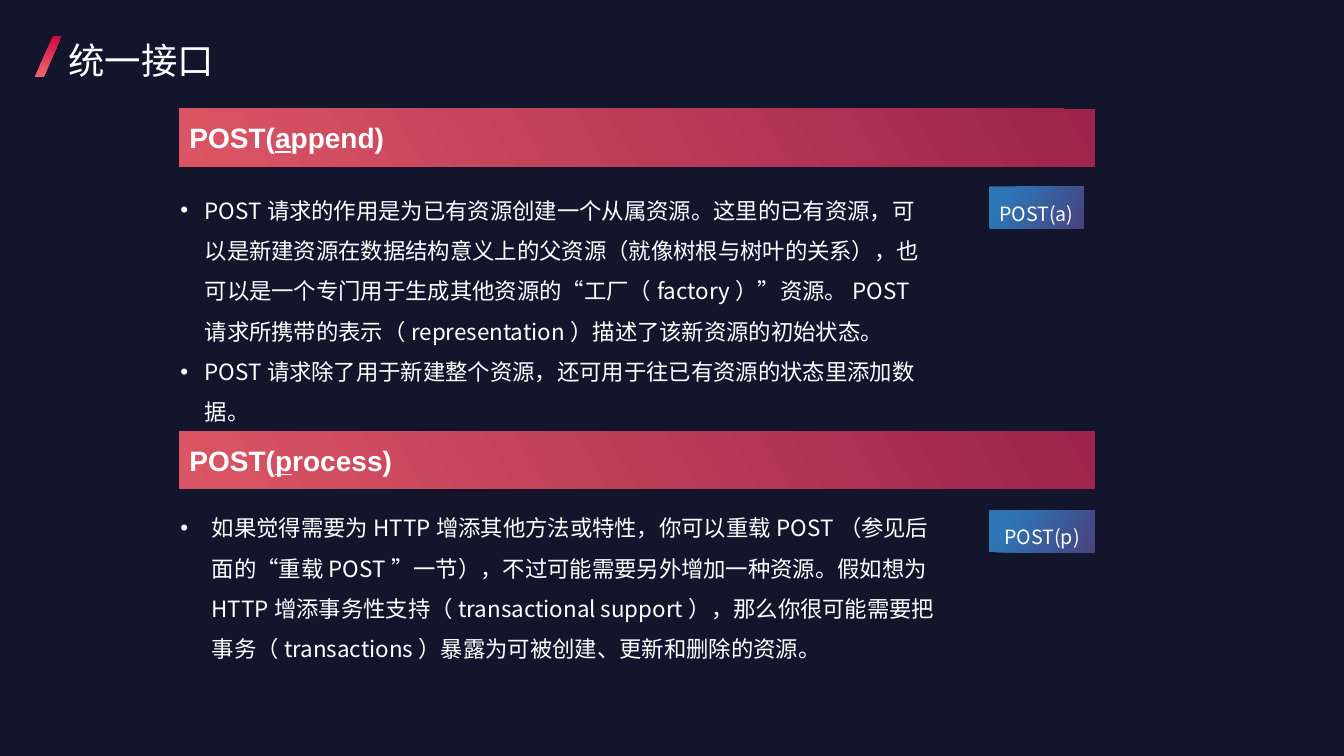
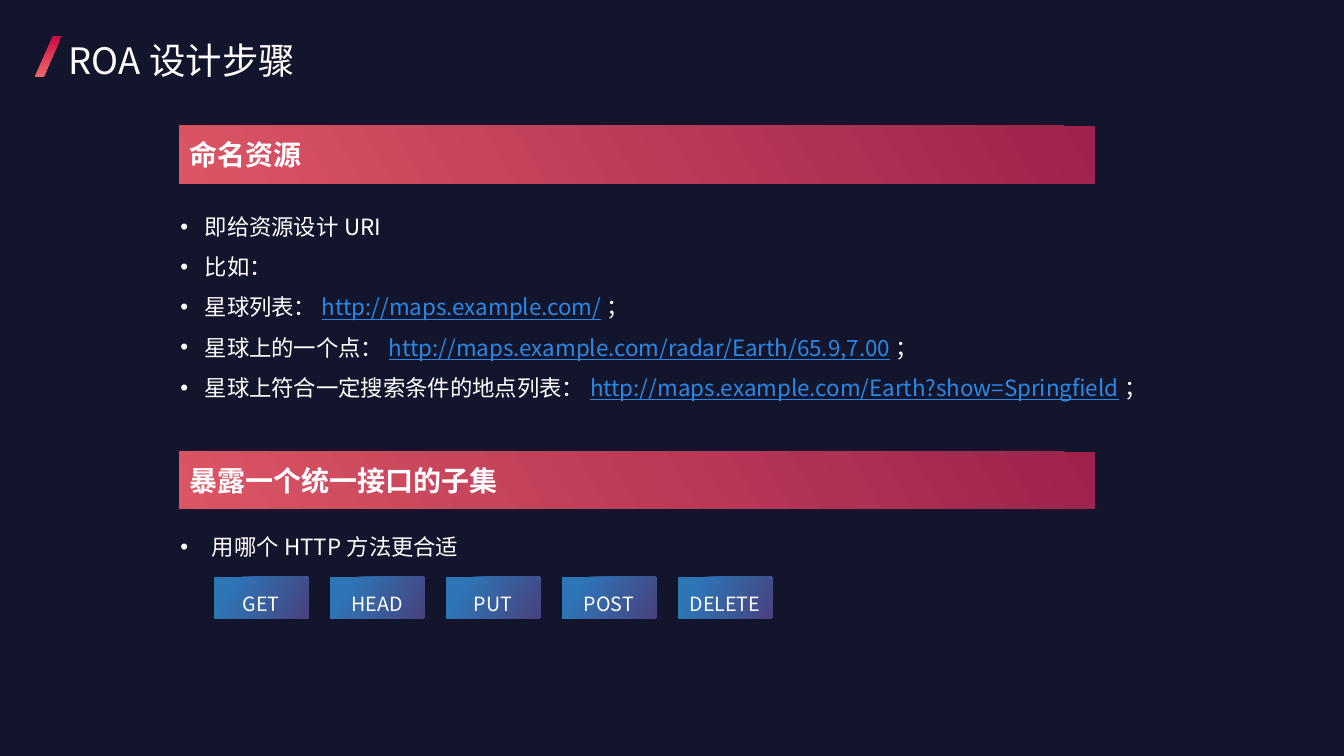
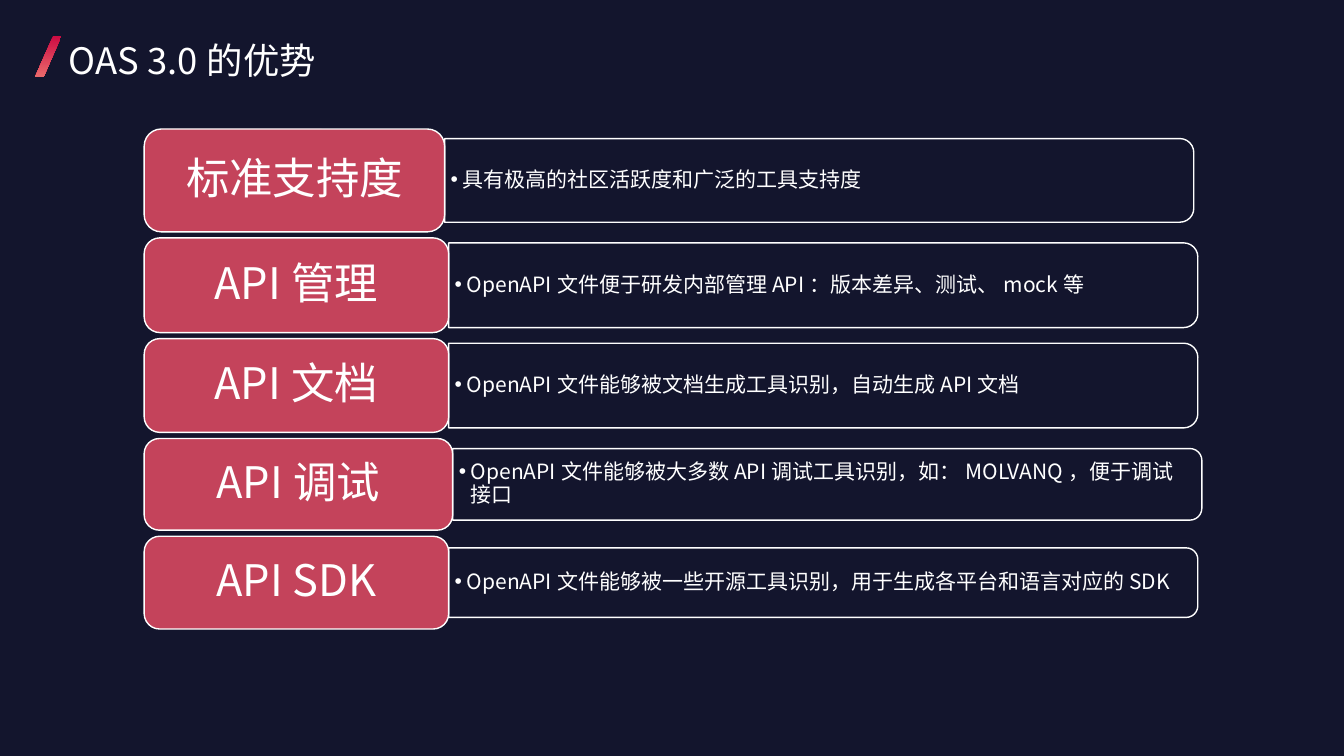
from lxml.etree import SubElement
from pptx import Presentation
from pptx.dml.color import RGBColor
from pptx.enum.shapes import MSO_SHAPE
from pptx.enum.text import MSO_ANCHOR, MSO_AUTO_SIZE, PP_ALIGN
from pptx.oxml.ns import qn
from pptx.util import Inches, Pt

FONT = "Noto Sans CJK SC"
WHITE = RGBColor(0xFF, 0xFF, 0xFF)
NAVY = RGBColor(0x13, 0x15, 0x2D)
ROSE = RGBColor(0xC4, 0x43, 0x5B)
LINK = RGBColor(0x2B, 0x88, 0xE5)
MARK_COLORS = ((0, RGBColor(0xCC, 0x0C, 0x43)), (1, RGBColor(0xEA, 0x69, 0x6B)))
BAND_COLORS = ((0, RGBColor(0x9D, 0x23, 0x4C)), (1, RGBColor(0xDB, 0x55, 0x64)))
PILL_COLORS = ((0.2, RGBColor(0x2E, 0x75, 0xB6)), (1, RGBColor(0x48, 0x42, 0x7E)))

TWO_CONTENT, TITLE_ONLY = 3, 5
UNDERLINE = {"underline": True}
URL = {"color": LINK, "underline": True}

# A paragraph is a string or a list of (text, format) runs.
# A list is placed at (left, top, width, height); a pill at (left, top, width).
SECTION_PAGES = [
    {
        "title": "统一接口",
        "sections": [
            {
                "band_top": 1.08,
                "heading": [("POST(", {}), ("a", UNDERLINE), ("ppend)", {})],
                "list_at": (1.69, 1.77, 7.6, 2.48),
                "indent": 0.24,
                "items": [
                    "POST请求的作用是为已有资源创建一个从属资源。这里的已有资源，可以是新建资源在数据结构意义上的父资源"
                    "（就像树根与树叶的关系），也可以是一个专门用于生成其他资源的“工厂（factory）”资源。"
                    "POST请求所携带的表示（representation）描述了该新资源的初始状态。",
                    "POST请求除了用于新建整个资源，还可用于往已有资源的状态里添加数据。",
                ],
                "pills": ["POST(a)"],
                "pills_at": (9.81, 1.85, 0.94),
            },
            {
                "band_top": 4.28,
                "heading": [("POST(", {}), ("p", UNDERLINE), ("rocess)", {})],
                "list_at": (1.69, 4.92, 7.79, 1.67),
                "indent": 0.31,
                "items": [
                    "如果觉得需要为HTTP增添其他方法或特性，你可以重载POST（参见后面的“重载POST”一节），"
                    "不过可能需要另外增加一种资源。假如想为HTTP增添事务性支持（transactional support），"
                    "那么你很可能需要把事务（transactions）暴露为可被创建、更新和删除的资源。",
                ],
                "pills": ["POST(p)"],
                "pills_at": (9.81, 5.06, 1.05),
            },
        ],
    },
    {
        "title": "ROA设计步骤",
        "sections": [
            {
                "band_top": 1.25,
                "heading": "命名资源",
                "list_at": (1.69, 1.93, 10.04, 2.12),
                "indent": 0.24,
                "items": [
                    "即给资源设计URI",
                    "比如：",
                    [("星球列表：", {}), ("http://maps.example.com/", URL), ("；", {})],
                    [("星球上的一个点：", {}),
                     ("http://maps.example.com/radar/Earth/65.9,7.00", URL), ("；", {})],
                    [("星球上符合一定搜索条件的地点列表：", {}),
                     ("http://maps.example.com/Earth?show=Springfield", URL), ("；", {})],
                ],
                "pills": [],
                "pills_at": (0, 0, 0),
            },
            {
                "band_top": 4.48,
                "heading": "暴露一个统一接口的子集",
                "list_at": (1.69, 5.11, 7.79, 0.46),
                "indent": 0.31,
                "items": ["用哪个HTTP方法更合适"],
                "pills": ["GET", "HEAD", "PUT", "POST", "DELETE"],
                "pills_at": (2.12, 5.72, 0.94),
            },
        ],
    },
]

ADVANTAGES_TITLE = "OAS 3.0的优势"
# label, description, card width, card height, frame height
ADVANTAGES = [
    ("标准支持度", "具有极高的社区活跃度和广泛的工具支持度", 2.98, 1.02, 0.83),
    ("API管理", "OpenAPI文件便于研发内部管理API：版本差异、测试、mock等", 3.02, 0.94, 0.84),
    ("API文档", "OpenAPI文件能够被文档生成工具识别，自动生成API文档", 3.02, 0.93, 0.84),
    ("API调试", "OpenAPI文件能够被大多数API调试工具识别，如：MOLVANQ，便于调试接口",
     3.06, 0.91, 0.71),
    ("API SDK", "OpenAPI文件能够被一些开源工具识别，用于生成各平台和语言对应的SDK",
     3.02, 0.92, 0.69),
]
CARD_LEFT, CARD_TOP, CARD_GAP = 1.43, 1.28, 0.06
FRAME_WIDTH, FRAME_TEXT_WIDTH = 7.43, 7.39
PILL_STEP = 1.15


def write(shape, paragraphs, size, font=FONT, bold=None, align=PP_ALIGN.LEFT, spacing=1.0,
          anchor=MSO_ANCHOR.TOP, bullet_indent=None, insets=(0.1, 0.05), wrap=True):
    frame = shape.text_frame
    frame.auto_size = MSO_AUTO_SIZE.NONE
    frame.word_wrap = wrap
    frame.vertical_anchor = anchor
    frame.margin_left = frame.margin_right = Inches(insets[0])
    frame.margin_top = frame.margin_bottom = Inches(insets[1])
    for index, runs in enumerate(paragraphs):
        para = frame.add_paragraph() if index else frame.paragraphs[0]
        para.alignment = align
        para.line_spacing = spacing
        para.space_before = Pt(0)
        if bullet_indent:
            add_bullet(para, bullet_indent)
        for text, style in [(runs, {})] if isinstance(runs, str) else runs:
            span = para.add_run()
            span.text = text
            span.font.name = font
            span.font.size = Pt(size)
            span.font.bold = bold
            span.font.underline = style.get("underline")
            span.font.color.rgb = style.get("color", WHITE)
            SubElement(span.font._element, qn("a:ea"), typeface=FONT)


def add_bullet(para, indent):
    properties = para._p.get_or_add_pPr()
    properties.set("marL", str(Inches(indent)))
    properties.set("indent", str(-Inches(indent)))
    color = SubElement(properties, qn("a:buClr"))
    SubElement(color, qn("a:srgbClr"), val=str(WHITE))
    SubElement(properties, qn("a:buFont"), typeface="Arial")
    SubElement(properties, qn("a:buChar"), char="•")


def place(shape, left, top, width, height):
    shape.left, shape.top = Inches(left), Inches(top)
    shape.width, shape.height = Inches(width), Inches(height)


def add_shape(page, kind, left, top, width, height, fill=None, line=None, adjust=None):
    shape = page.shapes.add_shape(kind, *map(Inches, (left, top, width, height)))
    shape.shadow.inherit = False
    if adjust is not None:
        shape.adjustments[0] = adjust
    if fill:
        shape.fill.solid()
        shape.fill.fore_color.rgb = fill
    else:
        shape.fill.background()
    if line:
        shape.line.color.rgb = line
        shape.line.width = Pt(1)
    else:
        shape.line.fill.background()
    return shape


def fill_gradient(shape, colors, clockwise_angle):
    shape.fill.gradient()
    shape.fill.gradient_angle = 360 - clockwise_angle
    for stop, (position, color) in zip(shape.fill.gradient_stops, colors):
        stop.position = position
        stop.color.rgb = color


def style_master(deck, page):
    """Give the master its background and the slanted mark beside the title."""
    master = deck.slide_master
    master.background.fill.solid()
    master.background.fill.fore_color.rgb = NAVY
    mark = add_shape(page, MSO_SHAPE.PARALLELOGRAM, 0.35, 0.36, 0.26, 0.4, adjust=0.676)
    fill_gradient(mark, MARK_COLORS, 90)
    mark.element.nvSpPr.cNvPr.set("id", "99")
    master.shapes.element.append(mark.element)


def start_page(deck, layout, title):
    page = deck.slides.add_slide(deck.slide_layouts[layout])
    place(page.shapes.title, 0.58, 0.24, 10.1, 0.8)
    write(page.shapes.title, [title], 26, spacing=1.2)
    return page


def add_section(page, section, body):
    band = add_shape(page, MSO_SHAPE.RECTANGLE, 1.78, section["band_top"], 9.08, 0.57)
    fill_gradient(band, BAND_COLORS, 30)
    band.element.spPr.xfrm.set("flipH", "1")
    write(band, [section["heading"]], 20, font="Arial", bold=True, anchor=MSO_ANCHOR.MIDDLE)

    place(body, *section["list_at"])
    write(body, section["items"], 16, spacing=1.5, bullet_indent=section["indent"])

    left, top, width = section["pills_at"]
    for index, label in enumerate(section["pills"]):
        pill = add_shape(page, MSO_SHAPE.ROUNDED_RECTANGLE, left + index * PILL_STEP, top,
                         width, 0.42, adjust=0.03)
        fill_gradient(pill, PILL_COLORS, 30)
        write(pill, [label], 14, align=PP_ALIGN.CENTER, spacing=1.5,
              anchor=MSO_ANCHOR.MIDDLE, wrap=False)


def add_advantages(page):
    top = CARD_TOP
    for label, description, width, height, frame_height in ADVANTAGES:
        middle = top + height / 2
        right = CARD_LEFT + width
        frame = add_shape(page, MSO_SHAPE.ROUND_2_SAME_RECTANGLE,
                          right + (FRAME_WIDTH - frame_height) / 2, middle - FRAME_WIDTH / 2,
                          frame_height, FRAME_WIDTH, line=WHITE)
        frame.rotation = 90
        text_height = frame_height - 0.08
        box = page.shapes.add_textbox(*map(Inches, (
            right, middle - text_height / 2, FRAME_TEXT_WIDTH, text_height)))
        write(box, [description], 15, spacing=0.9, anchor=MSO_ANCHOR.MIDDLE,
              bullet_indent=0.12, insets=(0.06, 0.03))
        card = add_shape(page, MSO_SHAPE.ROUNDED_RECTANGLE, CARD_LEFT, top, width, height,
                         fill=ROSE, line=WHITE)
        write(card, [label], 31, align=PP_ALIGN.CENTER, spacing=0.9,
              anchor=MSO_ANCHOR.MIDDLE, insets=(0.13, 0.06))
        top += height + CARD_GAP


def main():
    deck = Presentation()
    deck.slide_width, deck.slide_height = Inches(13.33), Inches(7.5)
    for content in SECTION_PAGES:
        page = start_page(deck, TWO_CONTENT, content["title"])
        for index, section in enumerate(content["sections"], start=1):
            add_section(page, section, page.placeholders[index])
    page = start_page(deck, TITLE_ONLY, ADVANTAGES_TITLE)
    add_advantages(page)
    style_master(deck, page)
    deck.save("out.pptx")


if __name__ == "__main__":
    main()
